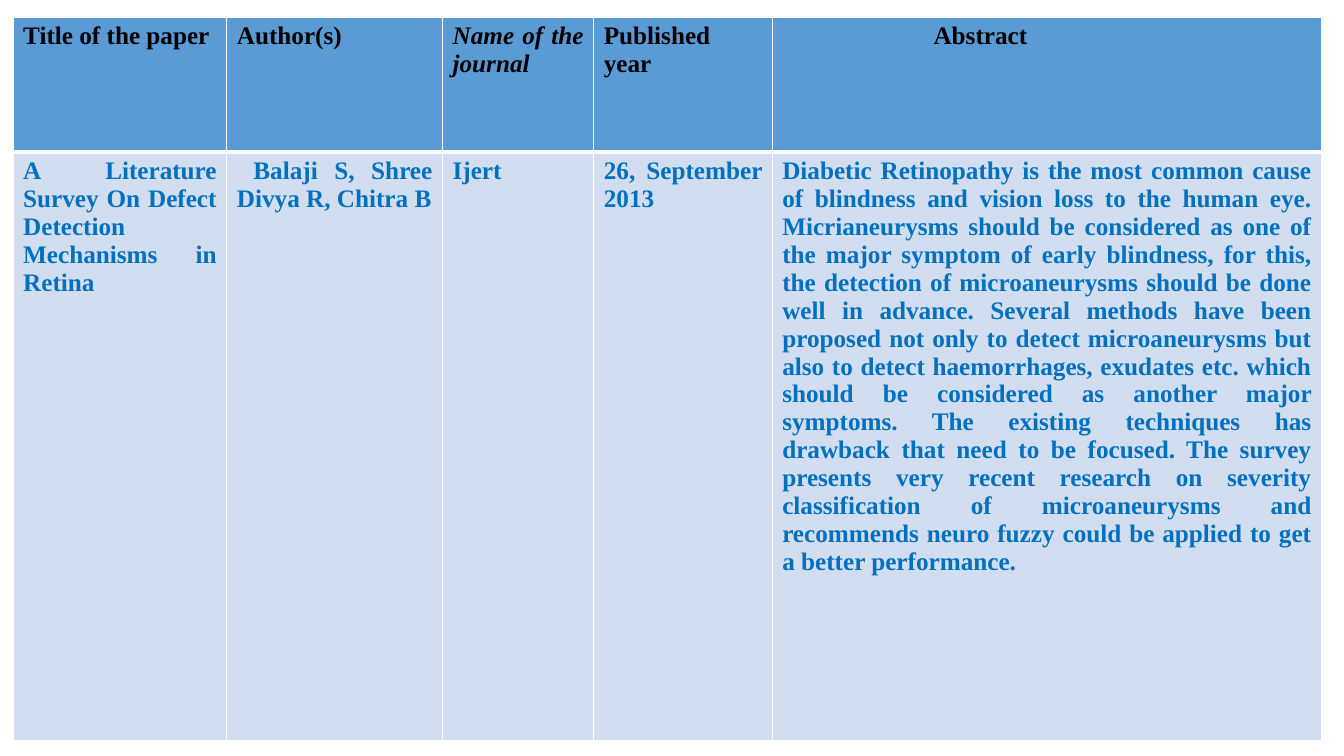
import lxml.etree
import pptx
import pptx.dml.color
import pptx.enum.text
import pptx.oxml.ns
import pptx.util

Inches = pptx.util.Inches
RGBColor = pptx.dml.color.RGBColor

BLACK = RGBColor(0x00, 0x00, 0x00)
WHITE = RGBColor(0xFF, 0xFF, 0xFF)
HEADER_BLUE = RGBColor(0x5B, 0x9B, 0xD5)
BODY_BLUE = RGBColor(0xD2, 0xDE, 0xEF)
TEXT_BLUE = RGBColor(0x00, 0x70, 0xC0)

FONT = "Times New Roman"
COLUMN_WIDTHS = [2.12, 2.14, 1.5, 1.77, 5.45]
ROW_HEIGHTS = [1.34, 5.84]
ABSTRACT_HEADING_MARGIN = 1.6

HEADINGS = ["Title of the paper", "Author(s)", "Name of the journal", "Published year", "Abstract"]
PAPER = [
    "A Literature Survey On Defect Detection Mechanisms in Retina",
    " Balaji S, Shree Divya R, Chitra B",
    "Ijert",
    "26, September 2013",
    "Diabetic Retinopathy is the most common cause of blindness and vision loss to the human eye. "
    "Micrianeurysms should be considered as one of the major symptom of early blindness, for this, "
    "the detection of microaneurysms should be done well in advance. Several methods have been "
    "proposed not only to detect microaneurysms but also to detect haemorrhages, exudates etc. which "
    "should be considered as another major symptoms. The existing techniques has drawback that need "
    "to be focused. The survey presents very recent research on severity classification of "
    "microaneurysms and recommends neuro fuzzy could be applied to get a better performance.",
]


def set_borders(cell, top, bottom):
    properties = cell._tc.get_or_add_tcPr()
    for side, width in (("L", 1), ("R", 1), ("T", top), ("B", bottom)):
        line = lxml.etree.SubElement(
            properties, pptx.oxml.ns.qn(f"a:ln{side}"), w=str(pptx.util.Pt(width))
        )
        fill = lxml.etree.SubElement(line, pptx.oxml.ns.qn("a:solidFill"))
        lxml.etree.SubElement(fill, pptx.oxml.ns.qn("a:srgbClr"), val=str(WHITE))


def fill_cell(cell, text, text_color, fill_color):
    cell.fill.solid()
    cell.fill.fore_color.rgb = fill_color
    paragraph = cell.text_frame.paragraphs[0]
    paragraph.alignment = pptx.enum.text.PP_ALIGN.JUSTIFY
    run = paragraph.add_run()
    run.text = text
    run.font.name = FONT
    run.font.size = pptx.util.Pt(18)
    run.font.bold = True
    run.font.color.rgb = text_color
    return run


def add_survey_table(slide, left, top, width, height):
    table = slide.shapes.add_table(
        2, len(HEADINGS), Inches(left), Inches(top), Inches(width), Inches(height)
    ).table
    for column, share in zip(table.columns, COLUMN_WIDTHS):
        column.width = Inches(width * share / sum(COLUMN_WIDTHS))
    for row, share in zip(table.rows, ROW_HEIGHTS):
        row.height = Inches(height * share / sum(ROW_HEIGHTS))
    for index, (heading, value) in enumerate(zip(HEADINGS, PAPER)):
        header_cell, body_cell = table.cell(0, index), table.cell(1, index)
        set_borders(header_cell, 1, 3)
        set_borders(body_cell, 3, 1)
        heading_run = fill_cell(header_cell, heading, BLACK, HEADER_BLUE)
        heading_run.font.italic = heading == "Name of the journal"
        fill_cell(body_cell, value, TEXT_BLUE, BODY_BLUE)
    table.cell(0, len(HEADINGS) - 1).margin_left = Inches(ABSTRACT_HEADING_MARGIN)


def main():
    presentation = pptx.Presentation()
    presentation.slide_width = Inches(13.33)
    presentation.slide_height = Inches(7.5)
    slide = presentation.slides.add_slide(presentation.slide_layouts[6])
    add_survey_table(slide, 0.13, 0.17, sum(COLUMN_WIDTHS), sum(ROW_HEIGHTS))
    presentation.save("out.pptx")


if __name__ == "__main__":
    main()
